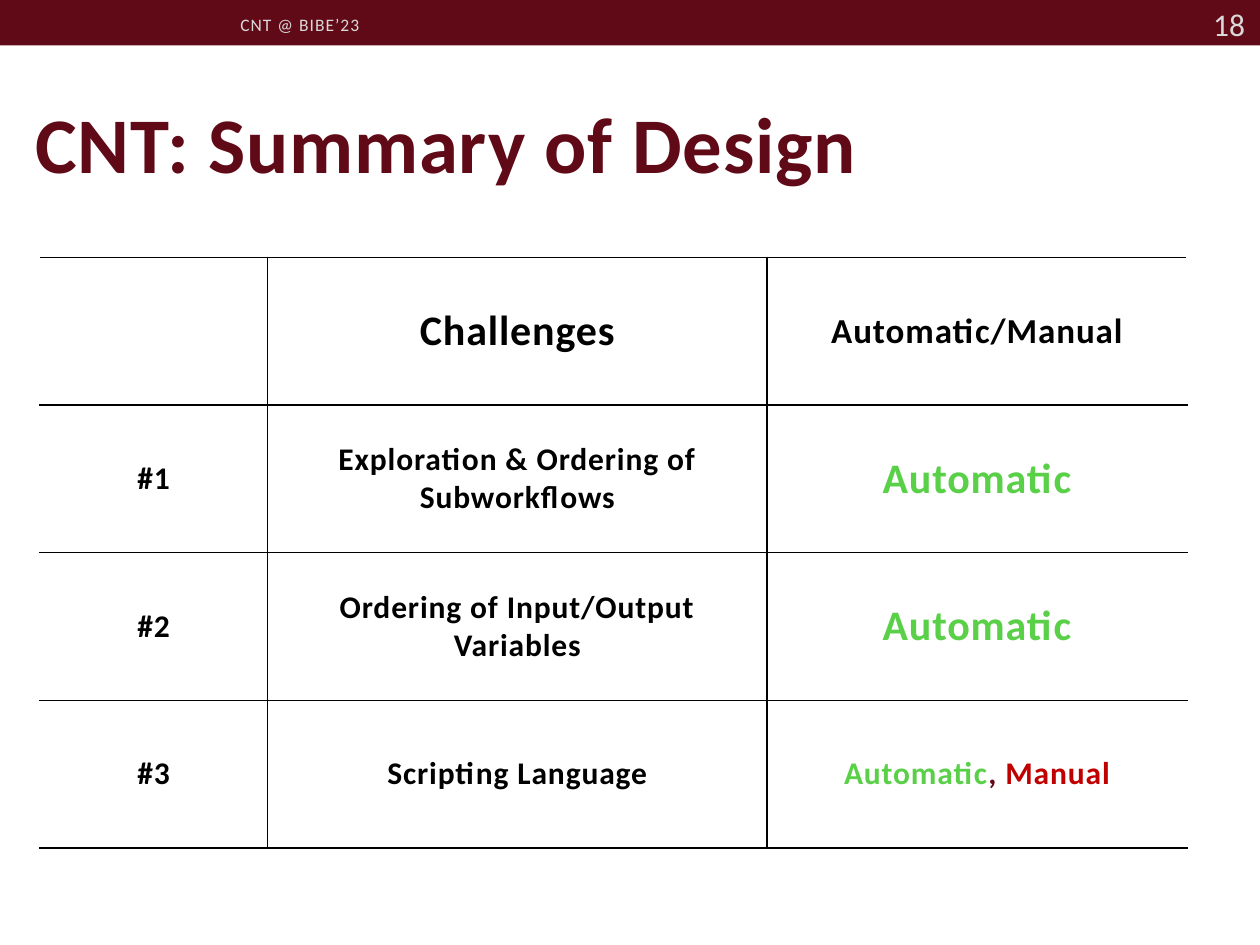
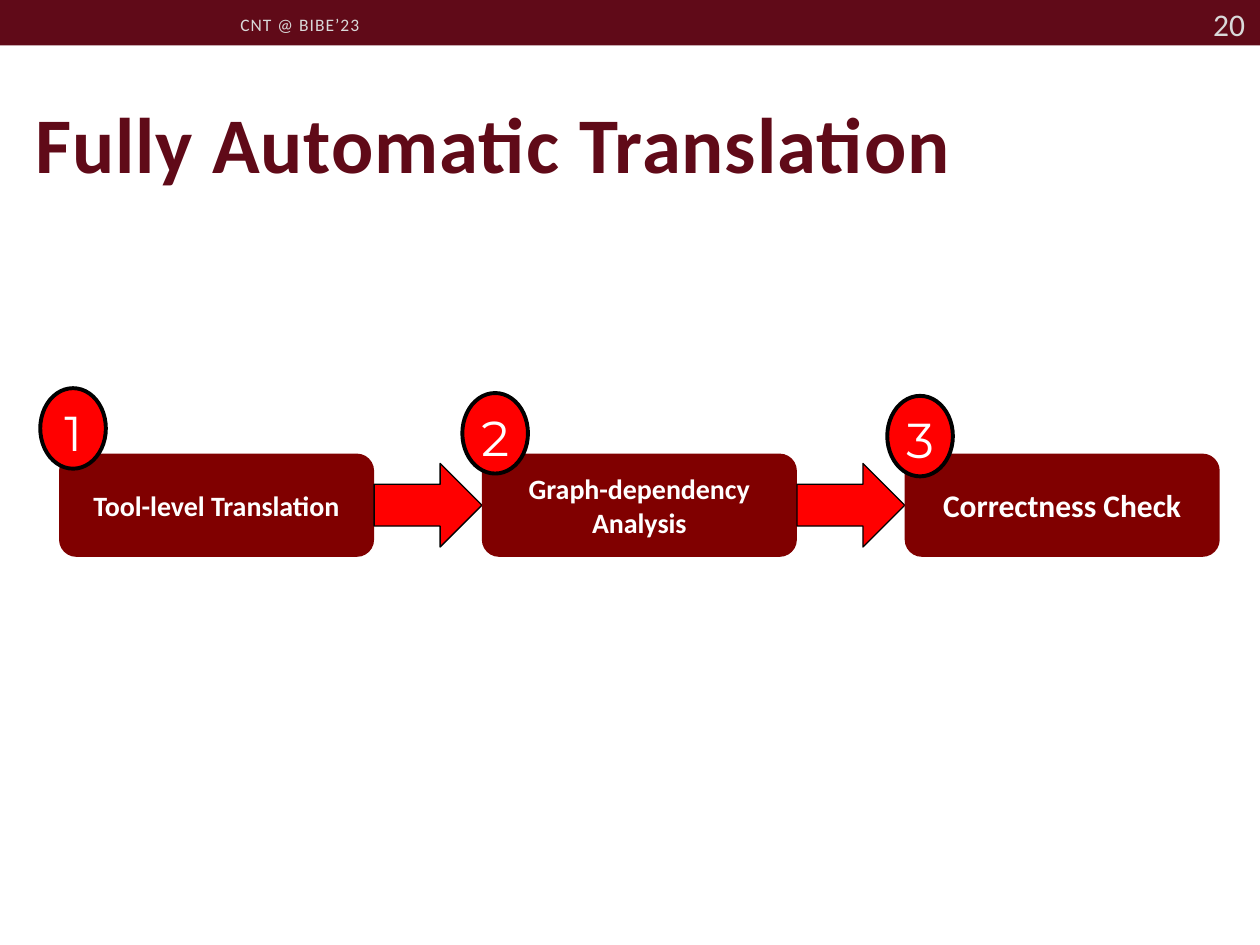
from lxml.etree import SubElement
from pptx import Presentation
from pptx.dml.color import RGBColor
from pptx.enum.shapes import MSO_SHAPE
from pptx.enum.text import MSO_ANCHOR, MSO_AUTO_SIZE, PP_ALIGN
from pptx.oxml import parse_xml
from pptx.oxml.ns import nsdecls, qn
from pptx.util import Pt

# Palette and fonts
MAROON, DARK_RED, RED, BRICK = "600A18", "800000", "FF0000", "C00000"
GREEN, GREY, BLACK, WHITE = "5AD049", "D9D9D9", "000000", "FFFFFF"
BODY_FONT, NUMBER_FONT = "Calibri", "Montserrat"
LEFT, CENTER, RIGHT = PP_ALIGN.LEFT, PP_ALIGN.CENTER, PP_ALIGN.RIGHT


def rgb(color):
    return RGBColor.from_string(color)


class Deck:
    """Holds the shared style and the current slide."""

    def __init__(self):
        self.prs = Presentation()
        self.prs.slide_width, self.prs.slide_height = Pt(720), Pt(540)

    def slide(self, title, number):
        self.s = self.prs.slides.add_slide(self.prs.slide_layouts[5])
        # Header band with event name and slide number
        self.shape(MSO_SHAPE.RECTANGLE, 0, 0, 720, 26, MAROON)
        self.text(655.2, -0.7, 63.4, 28.8, number, align=RIGHT, size=18, color=GREY)
        self.text(130.3, 3.6, 256.3, 20.9, "CNT @ BIBE’23", size=10, color=GREY, spacing=0.6)
        # Title
        sp = self.s.shapes.title
        sp.left, sp.top, sp.width, sp.height = Pt(13), Pt(21.6), Pt(692.6), Pt(90)
        self.fill_text(sp.text_frame, title, anchor=MSO_ANCHOR.BOTTOM,
                       size=45, color=MAROON, bold=True, spacing=0.5)

    def fill_text(self, tf, text, align=LEFT, anchor=MSO_ANCHOR.MIDDLE, insets=None, **style):
        frame = {"word_wrap": True, "auto_size": MSO_AUTO_SIZE.NONE, "vertical_anchor": anchor}
        if insets:
            sides = ("margin_left", "margin_top", "margin_right", "margin_bottom")
            frame.update(zip(sides, map(Pt, insets)))
        for name, value in frame.items():
            setattr(tf, name, value)
        self.paragraph(tf.paragraphs[0], [(text, {})], align, **style)

    def paragraph(self, p, runs, align, **style):
        """Add (text, style) runs to a paragraph."""
        p.alignment = align
        for text, extra in runs:
            r = p.add_run()
            r.text = text
            self.style_run(r, **{**style, **extra})

    def style_run(self, r, size, color, font=BODY_FONT, bold=False, spacing=0):
        for name, value in {"name": font, "size": Pt(size), "bold": bold}.items():
            setattr(r.font, name, value)
        r.font.color.rgb = rgb(color)
        if spacing:
            r._r.get_or_add_rPr().set("spc", str(round(spacing * 100)))

    def shape(self, kind, x, y, w, h, fill, line_width=0):
        sp = self.s.shapes.add_shape(kind, Pt(x), Pt(y), Pt(w), Pt(h))
        sp.shadow.inherit = False
        sp.fill.solid()
        sp.fill.fore_color.rgb = rgb(fill)
        if line_width:
            sp.line.color.rgb = rgb(BLACK)
            sp.line.width = Pt(line_width)
        else:
            sp.line.fill.background()
        return sp

    def text(self, x, y, w, h, text, **style):
        sp = self.s.shapes.add_textbox(Pt(x), Pt(y), Pt(w), Pt(h))
        self.fill_text(sp.text_frame, text, **style)

    def table(self, x, y, widths, row_height, rows):
        frame = self.s.shapes.add_table(len(rows), len(widths), Pt(x), Pt(y),
                                        Pt(sum(widths)), Pt(row_height * len(rows)))
        table = frame.table
        table.first_row = table.horz_banding = False
        for column, width in zip(table.columns, widths):
            column.width = Pt(width)
        for i, row in enumerate(rows):
            table.rows[i].height = Pt(row_height)
            for j, runs in enumerate(row):
                cell = table.cell(i, j)
                cell.vertical_anchor = MSO_ANCHOR.MIDDLE
                cell.fill.background()
                self.paragraph(cell.text_frame.paragraphs[0], runs, CENTER,
                               size=18, color=BLACK, bold=True, spacing=0.5)
                # The outer left and right edges are white
                self.borders(cell, {"L": BLACK if j else WHITE,
                                    "R": BLACK if j < len(widths) - 1 else WHITE,
                                    "T": BLACK, "B": BLACK})

    def borders(self, cell, colors):
        tcPr = cell._tc.get_or_add_tcPr()
        for k, (side, color) in enumerate(colors.items()):
            ln = parse_xml(f'<a:ln{side} {nsdecls("a")} w="{Pt(1)}"/>')
            fill = SubElement(ln, qn("a:solidFill"))
            SubElement(fill, qn("a:srgbClr"), val=color)
            tcPr.insert(k, ln)

    def step(self, x, y, w, h, label, size):
        sp = self.shape(MSO_SHAPE.ROUNDED_RECTANGLE, x, y, w, h, DARK_RED)
        self.fill_text(sp.text_frame, label, align=CENTER, insets=(7.2, 0, 7.2, 0),
                       size=size, color=WHITE, bold=True)

    def badge(self, x, y, number):
        self.shape(MSO_SHAPE.OVAL, x, y, 37.5, 46, RED, line_width=2.25)
        self.text(x + 3, y + 8, 31.7, 33.8, number, align=CENTER, insets=(0, 0, 0, 0),
                  size=28, color=WHITE, font=NUMBER_FONT)


def summary_slide(deck):
    deck.slide("CNT: Summary of Design", "18")
    large, green = {"size": 24}, {"color": GREEN}
    automatic = [("Automatic", {**large, **green})]
    mixed = [("Automatic", green), (", ", {"color": MAROON}), ("Manual", {"color": BRICK})]
    rows = [[[], [("Challenges", large)], [("Automatic/Manual", {"size": 20})]]]
    challenges = [("Exploration & Ordering of Subworkflows", automatic),
                  ("Ordering of Input/Output Variables", automatic),
                  ("Scripting Language", mixed)]
    for n, (challenge, mode) in enumerate(challenges, 1):
        rows.append([[(f"#{n}", {})], [(challenge, {})], mode])
    deck.table(22.7, 147, [130.3, 285.4, 239.8], 84.4, rows)


def translation_slide(deck):
    deck.slide("Fully Automatic Translation", "20")
    left, top, width, height, pitch = 33.8, 259.2, 180, 59, 241.6
    steps = [("Tool-level Translation", 16), ("Graph-dependency Analysis", 16),
             ("Correctness Check", 18)]
    # Steps joined by block arrows
    for i, (label, size) in enumerate(steps):
        x = left + i * pitch
        deck.step(x, top, width, height, label, size)
        if i < len(steps) - 1:
            deck.shape(MSO_SHAPE.RIGHT_ARROW, x + width, top + 5.6, pitch - width, 47.8,
                       RED, line_width=0.75)
    # Numbered badges on the upper left corners
    for n, (x, y) in enumerate([(23, 221.8), (264.2, 224.6), (507, 226.2)], 1):
        deck.badge(x, y, str(n))


def main():
    deck = Deck()
    summary_slide(deck)
    translation_slide(deck)
    deck.prs.save("out.pptx")


if __name__ == "__main__":
    main()
